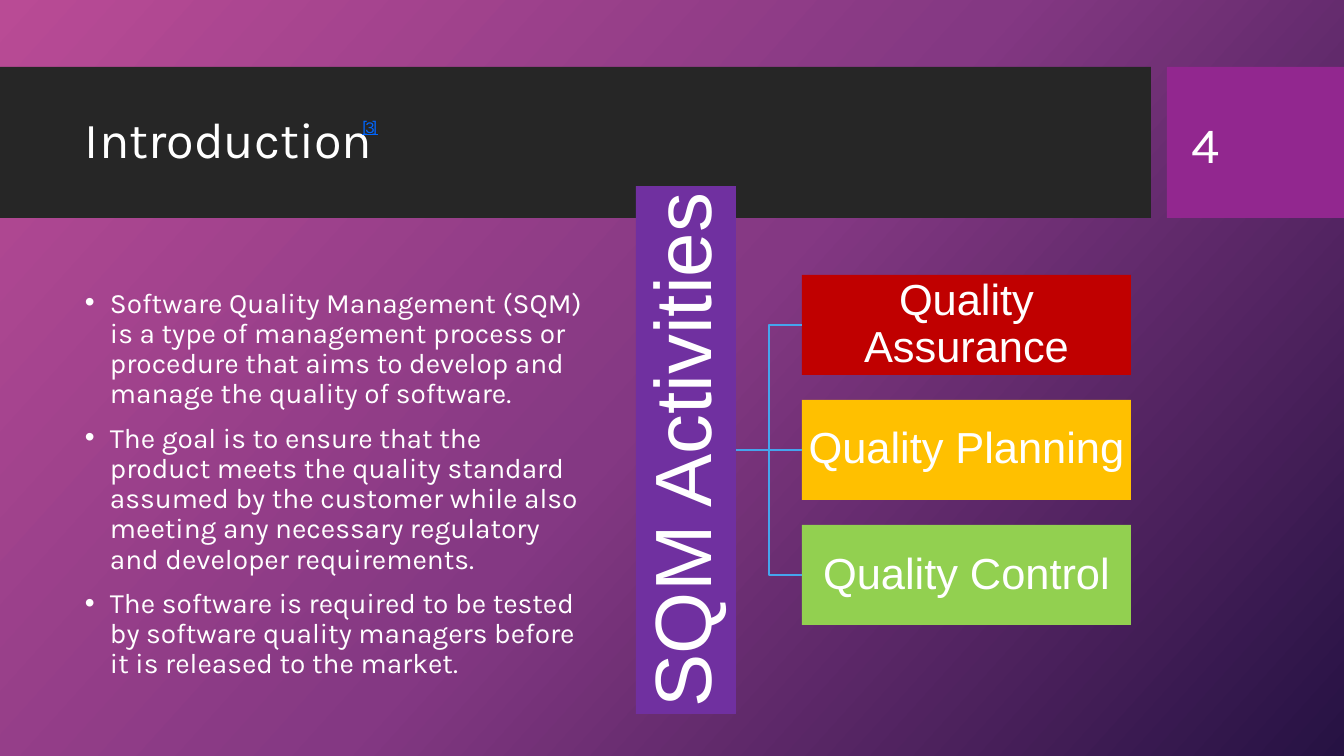
from copy import deepcopy
from dataclasses import dataclass

from lxml import etree
from pptx import Presentation
from pptx.dml.color import RGBColor
from pptx.enum.shapes import MSO_CONNECTOR, MSO_SHAPE
from pptx.enum.text import MSO_ANCHOR, PP_ALIGN
from pptx.oxml.ns import qn
from pptx.util import Emu, Pt

RECTANGLE = MSO_SHAPE.RECTANGLE
STRAIGHT, ELBOW = MSO_CONNECTOR.STRAIGHT, MSO_CONNECTOR.ELBOW
TOP, MIDDLE = MSO_ANCHOR.TOP, MSO_ANCHOR.MIDDLE
LEFT, CENTER = PP_ALIGN.LEFT, PP_ALIGN.CENTER
LEFT_SIDE, RIGHT_SIDE = 1, 3
PAGE_WIDTH, PAGE_HEIGHT = 1344, 756
EMU_PER_PX = 914400 / 100.8


@dataclass(frozen=True)
class Theme:
    text: str = "FFFFFF"
    banner: str = "262626"
    number_panel: str = "92278F"
    root: str = "7030A0"
    branch: str = "45A5ED"
    reference: str = "0066FF"
    gradient: tuple = ((0, "B94B95"), (0.5, "843883"), (1, "261243"))
    gradient_angle: int = 318
    body_font: str = "Karla"
    diagram_font: str = "Arial"
    heading_size: int = 36
    body_size: int = 20
    reference_size: int = 12
    root_size: int = 57
    activity_size: int = 31


@dataclass(frozen=True)
class Area:
    left: int
    top: int
    width: int
    height: int


@dataclass(frozen=True)
class TextStyle:
    size: int
    font: str
    color: str
    align: PP_ALIGN = LEFT
    anchor: MSO_ANCHOR = MIDDLE
    line_spacing: float = 0.9
    inset: int | None = None


@dataclass(frozen=True)
class Activity:
    name: str
    color: str


THEME = Theme()
HEADING = TextStyle(THEME.heading_size, THEME.body_font, THEME.text)
BODY = TextStyle(THEME.body_size, THEME.body_font, THEME.text, anchor=TOP)
NUMBER = TextStyle(THEME.heading_size, THEME.body_font, THEME.text, line_spacing=1)
REFERENCE = TextStyle(THEME.reference_size, THEME.body_font, THEME.reference,
                      anchor=TOP, line_spacing=1)
ROOT = TextStyle(THEME.root_size, THEME.diagram_font, THEME.text, CENTER, inset=4)
ACTIVITY = TextStyle(THEME.activity_size, THEME.diagram_font, THEME.text, CENTER, inset=2)

POINTS = (
    "Software Quality Management (SQM) is a type of management process or procedure "
    "that aims to develop and manage the quality of software.",
    "The goal is to ensure that the product meets the quality standard assumed by the "
    "customer while also meeting any necessary regulatory and developer requirements.",
    "The software is required to be tested by software quality managers before it is "
    "released to the market.",
)
ACTIVITIES = (
    Activity("Quality Assurance", "C00000"),
    Activity("Quality Planning", "FFC000"),
    Activity("Quality Control", "92D050"),
)
FIRST_ACTIVITY_TOP, ACTIVITY_STEP = 275, 125


def px(length: int) -> Emu:
    return Emu(round(length * EMU_PER_PX))


def place(area: Area) -> tuple:
    return px(area.left), px(area.top), px(area.width), px(area.height)


def paint_background(page) -> None:
    fill = page.background.fill
    fill.gradient()
    fill.gradient_angle = THEME.gradient_angle
    stop_list = page.background._cSld.find(".//" + qn("a:gsLst"))
    stop_list.append(deepcopy(stop_list[0]))
    for stop, (position, color) in zip(fill.gradient_stops, THEME.gradient):
        stop.position = position
        stop.color.rgb = RGBColor.from_string(color)


def write(shape, lines: tuple, style: TextStyle) -> None:
    frame = shape.text_frame
    frame.word_wrap = True
    frame.vertical_anchor = style.anchor
    if style.inset is not None:
        frame.margin_left = frame.margin_right = px(style.inset)
        frame.margin_top = frame.margin_bottom = px(style.inset)
    frame.text = "\n".join(lines)
    for para in frame.paragraphs:
        para.alignment = style.align
        para.line_spacing = style.line_spacing
        for span in para.runs:
            span.font.size = Pt(style.size)
            span.font.name = style.font
            span.font.color.rgb = RGBColor.from_string(style.color)


def add_panel(page, area: Area, color: str):
    panel = page.shapes.add_shape(RECTANGLE, *place(area))
    panel.shadow.inherit = False
    panel.fill.solid()
    panel.fill.fore_color.rgb = RGBColor.from_string(color)
    panel.line.fill.background()
    return panel


def add_text(page, area: Area, lines: tuple, style: TextStyle):
    box = page.shapes.add_textbox(*place(area))
    write(box, lines, style)
    return box


def add_bullets(box) -> None:
    for index, para in enumerate(box.text_frame.paragraphs):
        if index:
            para.space_before = Pt(10)
        properties = para._p.get_or_add_pPr()
        properties.set("marL", str(px(25)))
        properties.set("indent", str(-px(25)))
        etree.SubElement(properties, qn("a:buFont")).set("typeface", THEME.diagram_font)
        etree.SubElement(properties, qn("a:buChar")).set("char", "•")


def add_branch(page, root, target) -> None:
    level = root.top + root.height // 2 == target.top + target.height // 2
    kind = STRAIGHT if level else ELBOW
    branch = page.shapes.add_connector(kind, 0, 0, 0, 0)
    branch.begin_connect(root, RIGHT_SIDE)
    branch.end_connect(target, LEFT_SIDE)
    branch.line.color.rgb = RGBColor.from_string(THEME.branch)
    branch.line.width = Pt(1.5)
    etree.SubElement(branch._element.spPr, qn("a:effectLst"))


def add_activities(page) -> None:
    root = add_panel(page, Area(636, 186, 100, 528), THEME.root)
    write(root, ("SQM Activities",), ROOT)
    root.text_frame._txBody.bodyPr.set("vert", "vert270")
    for index, activity in enumerate(ACTIVITIES):
        top = FIRST_ACTIVITY_TOP + index * ACTIVITY_STEP
        panel = add_panel(page, Area(802, top, 329, 100), activity.color)
        write(panel, (activity.name,), ACTIVITY)
        add_branch(page, root, panel)


def main() -> None:
    deck = Presentation()
    deck.slide_width, deck.slide_height = px(PAGE_WIDTH), px(PAGE_HEIGHT)
    page = deck.slides.add_slide(deck.slide_layouts[6])
    paint_background(page)
    add_panel(page, Area(0, 67, 1151, 151), THEME.banner)
    add_panel(page, Area(1167, 67, 177, 151), THEME.number_panel)
    add_text(page, Area(75, 83, 1059, 119), ("Introduction",), HEADING)
    add_bullets(add_text(page, Area(75, 284, 518, 429), POINTS, BODY))
    add_text(page, Area(1182, 83, 127, 120), ("4",), NUMBER)
    add_activities(page)
    reference = add_text(page, Area(352, 112, 72, 30), ("[3]",), REFERENCE)
    span = reference.text_frame.paragraphs[0].runs[0]
    span.font.underline = True
    span._r.get_or_add_rPr().set("spc", "-150")
    deck.save("out.pptx")


if __name__ == "__main__":
    main()
